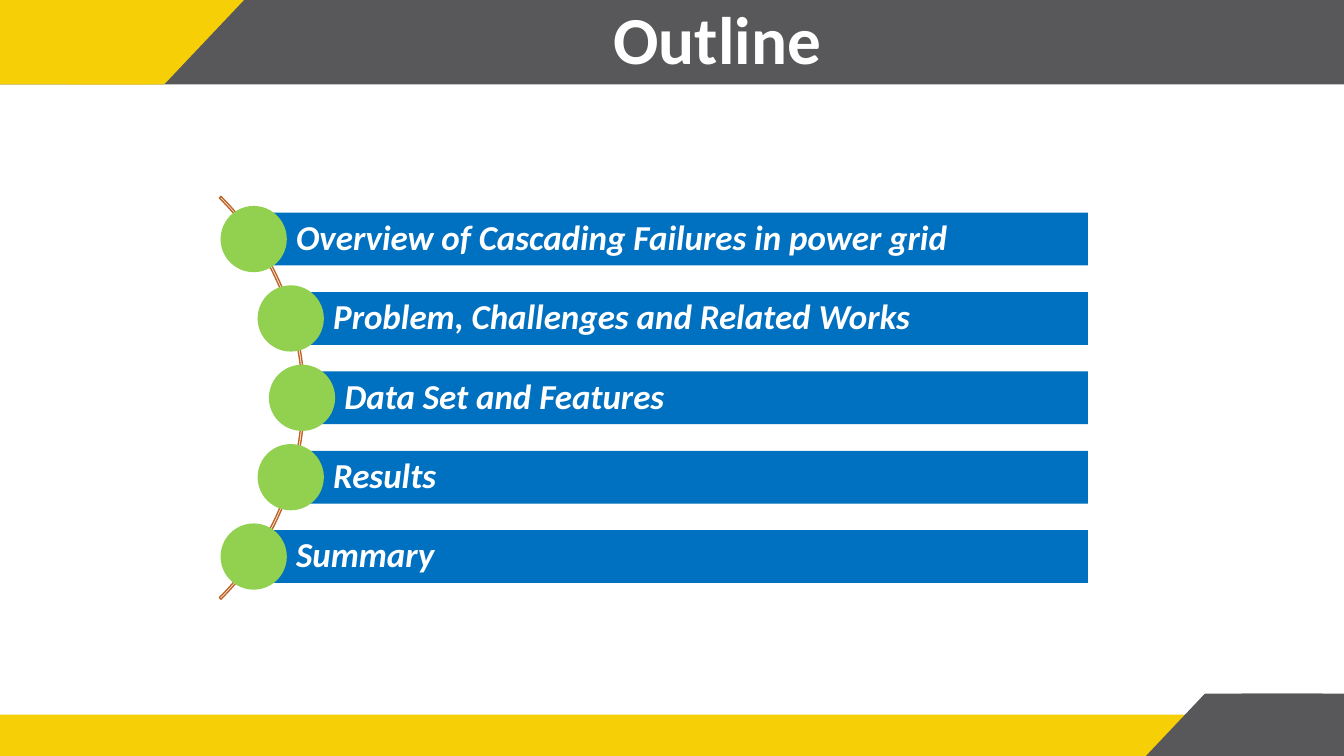
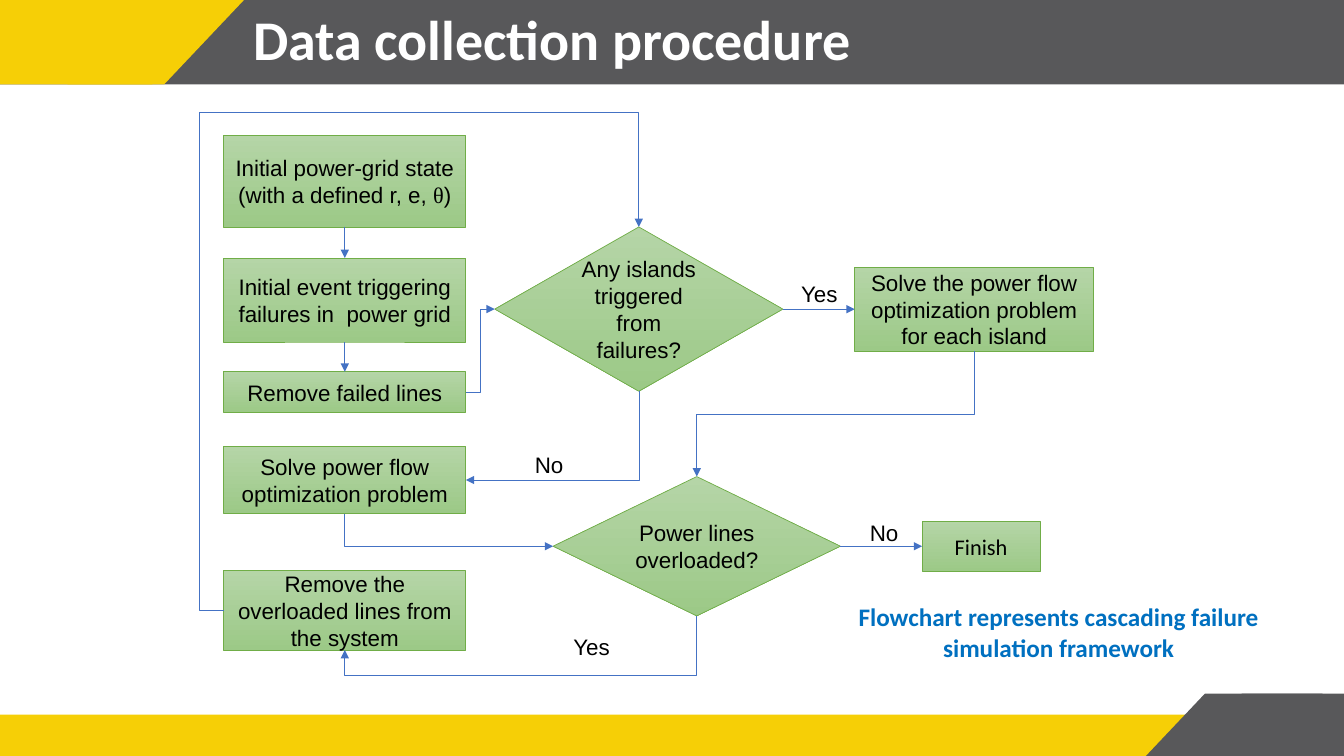
from math import cos, radians, sqrt

from lxml.etree import SubElement
from pptx import Presentation
from pptx.dml.color import RGBColor
from pptx.enum.shapes import MSO_CONNECTOR, MSO_SHAPE
from pptx.enum.text import MSO_ANCHOR, PP_ALIGN
from pptx.oxml.ns import qn
from pptx.util import Cm, Pt

COLORS = {
    "yellow": "F6CF06", "grey": "58585A", "white": "FFFFFF", "black": "000000",
    "bar": "0070C0", "dot": "92D050", "arc": "BE6427", "arrow": "4472C4",
    "node_top": "B5D5A7", "node_bottom": "9CC987", "node_line": "70AD47",
}
SLIDE_W, SLIDE_H = 33.87, 19.05
HEADER_H, FOOTER_H, TAB_H = 2.13, 1.04, 1.57
SLANT_W, SLANT = 4.45, 0.946

TOP, LEFT, BOTTOM, RIGHT = range(4)

OUTLINE_ITEMS = [
    "Overview of Cascading Failures in power grid",
    "Problem, Challenges and Related Works",
    "Data Set and Features",
    "Results",
    "Summary",
]

# Name: left, top, width, height within the chart, preset, paragraphs
BOX, DECISION = MSO_SHAPE.RECTANGLE, MSO_SHAPE.DIAMOND
NODES = {
    "state": (0, 0, 6.1, 2.32, BOX,
              ["Initial power-grid state", "(with a defined r, e, θ)"]),
    "event": (0, 3.1, 6.1, 2.12, BOX,
              ["Initial event triggering failures in  power grid"]),
    "failed": (0, 5.97, 6.1, 1.02, BOX, ["Remove failed lines"]),
    "solve": (0, 7.85, 6.1, 1.69, BOX, ["Solve power flow optimization problem"]),
    "overloaded": (0, 10.98, 6.1, 2, BOX,
                   ["Remove the overloaded lines from the system"]),
    "islands": (6.83, 2.32, 7.26, 4.14, DECISION,
                ["Any islands triggered from failures?"]),
    "each": (15.9, 3.33, 6.02, 2.12, BOX,
             ["Solve the power flow optimization problem for each island"]),
    "lines": (8.3, 8.61, 7.24, 3.51, DECISION, ["Power lines overloaded?"]),
    "finish": (17.6, 9.73, 2.97, 1.27, BOX, ["Finish"]),
}
STRAIGHT_ARROWS = [
    ("state", BOTTOM, "event", TOP),
    ("event", BOTTOM, "failed", TOP),
    ("islands", RIGHT, "each", LEFT),
    ("lines", RIGHT, "finish", LEFT),
]
# Start, its side, end, its side, preset, bend positions
BENT_ARROWS = [
    ("failed", RIGHT, "islands", LEFT, "bentConnector3", [0.5]),
    ("islands", BOTTOM, "solve", RIGHT, "bentConnector2", []),
    ("each", BOTTOM, "lines", TOP, "bentConnector3", [0.5]),
    ("solve", BOTTOM, "lines", LEFT, "bentConnector2", []),
    ("lines", BOTTOM, "overloaded", BOTTOM, "bentConnector3", [1.75]),
    ("overloaded", LEFT, "islands", TOP, "bentConnector4", [-0.06, 1.3]),
]
BRANCH_LABELS = [("Yes", 14.3, 3.53), ("No", 7.59, 7.85),
                 ("No", 16.03, 9.55), ("Yes", 8.56, 12.42)]


def rgb(name):
    return RGBColor.from_string(COLORS[name])


def add_block(slide, preset, left, top, width, height, fill=None, line=None,
              line_width=1):
    block = slide.shapes.add_shape(preset, Cm(left), Cm(top), Cm(width), Cm(height))
    block.shadow.inherit = False
    if fill:
        block.fill.solid()
        block.fill.fore_color.rgb = rgb(fill)
    else:
        block.fill.background()
    if line:
        block.line.color.rgb = rgb(line)
        block.line.width = Pt(line_width)
    else:
        block.line.fill.background()
    return block


def add_run(paragraph, text, size, font, color, bold=False, italic=False):
    run = paragraph.add_run()
    run.text = text
    run.font.size = Pt(size)
    run.font.name = font
    run.font.bold = bold
    run.font.italic = italic
    run.font.color.rgb = rgb(color)


def add_label(slide, text, left, top, width, height, size, font, color,
              bold=False, align=PP_ALIGN.LEFT, anchor=MSO_ANCHOR.TOP, spacing=1.0):
    frame = slide.shapes.add_textbox(
        Cm(left), Cm(top), Cm(width), Cm(height)).text_frame
    frame.word_wrap = True
    frame.vertical_anchor = anchor
    paragraph = frame.paragraphs[0]
    paragraph.alignment = align
    paragraph.line_spacing = spacing
    add_run(paragraph, text, size, font, color, bold)


def add_framed_slide(prs, title, title_width, title_size, align):
    """Add a slide with the bands at top and bottom and its title."""
    slide = prs.slides.add_slide(prs.slide_layouts[6])
    slant_preset = MSO_SHAPE.PARALLELOGRAM
    tab_top = SLIDE_H - TAB_H
    bands = [
        (BOX, 0, SLIDE_H - FOOTER_H, SLIDE_W, FOOTER_H, "yellow"),
        (BOX, 0, 0, SLIDE_W, HEADER_H, "grey"),
        (slant_preset, 1.7, 0, SLANT_W, HEADER_H, "yellow"),
        (BOX, 0, 0, 3.84, HEADER_H, "yellow"),
        (slant_preset, 28.88, tab_top, SLANT_W, TAB_H, "grey"),
        (BOX, 31.29, tab_top, SLIDE_W - 31.29, TAB_H, "grey"),
    ]
    for preset, *place, color in bands:
        band = add_block(slide, preset, *place, color)
        if preset == slant_preset:
            band.adjustments[0] = SLANT
    add_label(slide, title, 6.13, 0, title_width, HEADER_H, title_size, "Calibri",
              "white", True, align, MSO_ANCHOR.MIDDLE, 0.9)
    return slide


def add_outline(slide, left, top, width, height, items):
    """Hang one bar per item on a quarter circle that spans the box height."""
    pitch, bar_h, dot = 2, 1.33, 1.67
    radius = height / 2 / cos(radians(45))
    center_x, center_y = left - height / 2, top + height / 2
    arc = add_block(slide, MSO_SHAPE.BLOCK_ARC, center_x - radius,
                    center_y - radius, 2 * radius, 2 * radius, line="arc")
    for index, value in enumerate((189, 27, 0.004)):
        arc.adjustments[index] = value

    for index, item in enumerate(items):
        drop = (index - (len(items) - 1) / 2) * pitch
        bar_left = center_x + sqrt(radius ** 2 - drop ** 2) - 0.06
        bar_y = center_y + drop
        bar = add_block(slide, BOX, bar_left, bar_y - bar_h / 2,
                        left + width - bar_left, bar_h, "bar")
        frame = bar.text_frame
        frame.word_wrap = True
        frame.vertical_anchor = MSO_ANCHOR.MIDDLE
        frame.margin_left = Cm(1.07)
        frame.margin_top = frame.margin_right = frame.margin_bottom = Cm(0.17)
        paragraph = frame.paragraphs[0]
        paragraph.alignment = PP_ALIGN.LEFT
        paragraph.line_spacing = 0.9
        add_run(paragraph, item, 25, "Calibri", "white", True, True)
        add_block(slide, MSO_SHAPE.OVAL, bar_left - dot / 2, bar_y - dot / 2,
                  dot, dot, "dot")


def add_node(slide, left, top, width, height, preset, lines, font):
    node = add_block(slide, preset, left, top, width, height,
                     line="node_line", line_width=0.5)
    node.fill.gradient()
    node.fill.gradient_angle = 270
    for stop, color in zip(node.fill.gradient_stops, ("node_top", "node_bottom")):
        stop.color.rgb = rgb(color)
    frame = node.text_frame
    frame.word_wrap = True
    frame.vertical_anchor = MSO_ANCHOR.MIDDLE
    for index, line in enumerate(lines):
        paragraph = frame.add_paragraph() if index else frame.paragraphs[0]
        paragraph.alignment = PP_ALIGN.CENTER
        before, theta, after = line.partition("θ")
        for text, face in ((before, font), (theta, "Times New Roman"), (after, font)):
            if text:
                add_run(paragraph, text, 16, face, "black")
    return node


def add_arrow(slide, kind, start, start_side, end, end_side):
    arrow = slide.shapes.add_connector(kind, 0, 0, 0, 0)
    arrow.begin_connect(start, start_side)
    arrow.end_connect(end, end_side)
    arrow.line.color.rgb = rgb("arrow")
    arrow.line.width = Pt(0.5)
    properties = arrow.element.spPr
    SubElement(properties.find(qn("a:ln")), qn("a:tailEnd"), type="triangle")
    SubElement(properties, qn("a:effectLst"))
    return arrow


def bend_arrow(arrow, start_side, preset, bends):
    """Turn the elbow so that it leaves from start_side and bends as given."""
    dx, dy = arrow.end_x - arrow.begin_x, arrow.end_y - arrow.begin_y
    center_x = (arrow.begin_x + arrow.end_x) // 2
    center_y = (arrow.begin_y + arrow.end_y) // 2
    width, height = abs(dx), abs(dy)
    flip_h = flip_v = False
    if start_side == BOTTOM:
        width, height = height, width
        flip_h = dx > 0
        turn = 270 if flip_h else 90
    elif start_side == LEFT:
        turn, flip_h = 180, dx > 0
    else:
        turn, flip_v = 0, dy < 0
    arrow.left, arrow.top = center_x - width // 2, center_y - height // 2
    arrow.width, arrow.height = width, height

    properties = arrow.element.spPr
    frame = properties.find(qn("a:xfrm"))
    frame.set("rot", str(turn * 60000))
    frame.set("flipH", str(int(flip_h)))
    frame.set("flipV", str(int(flip_v)))
    geometry = properties.find(qn("a:prstGeom"))
    geometry.set("prst", preset)
    guides = geometry.find(qn("a:avLst"))
    if guides is None:
        guides = SubElement(geometry, qn("a:avLst"))
    for number, bend in enumerate(bends, 1):
        SubElement(guides, qn("a:gd"), name=f"adj{number}",
                   fmla=f"val {round(bend * 100000)}")


def add_flowchart(slide, left, top):
    nodes = {}
    for name, (x, y, width, height, preset, lines) in NODES.items():
        font = "Calibri" if name == "finish" else "Arial"
        nodes[name] = add_node(slide, left + x, top + y, width, height,
                               preset, lines, font)
    for start, start_side, end, end_side in STRAIGHT_ARROWS:
        add_arrow(slide, MSO_CONNECTOR.STRAIGHT, nodes[start], start_side,
                  nodes[end], end_side)
    for start, start_side, end, end_side, preset, bends in BENT_ARROWS:
        arrow = add_arrow(slide, MSO_CONNECTOR.ELBOW, nodes[start], start_side,
                          nodes[end], end_side)
        bend_arrow(arrow, start_side, preset, bends)
    for text, x, y in BRANCH_LABELS:
        add_label(slide, text, left + x, top + y, 1.7, 0.94, 16, "Arial", "black")


def main():
    prs = Presentation()
    prs.slide_width, prs.slide_height = Cm(SLIDE_W), Cm(SLIDE_H)

    outline = add_framed_slide(prs, "Outline", 23.9, 48, PP_ALIGN.CENTER)
    add_outline(outline, 5.57, 4.95, 21.85, 10.15, OUTLINE_ITEMS)

    procedure = add_framed_slide(prs, "Data collection procedure", 25.4, 40,
                                 PP_ALIGN.LEFT)
    add_flowchart(procedure, 5.64, 3.4)
    add_label(procedure, "Flowchart represents cascading failure simulation framework",
              20.42, 15.04, 12.52, 1.8, 18, "Calibri", "bar", True, PP_ALIGN.CENTER)

    prs.save("out.pptx")


if __name__ == "__main__":
    main()
